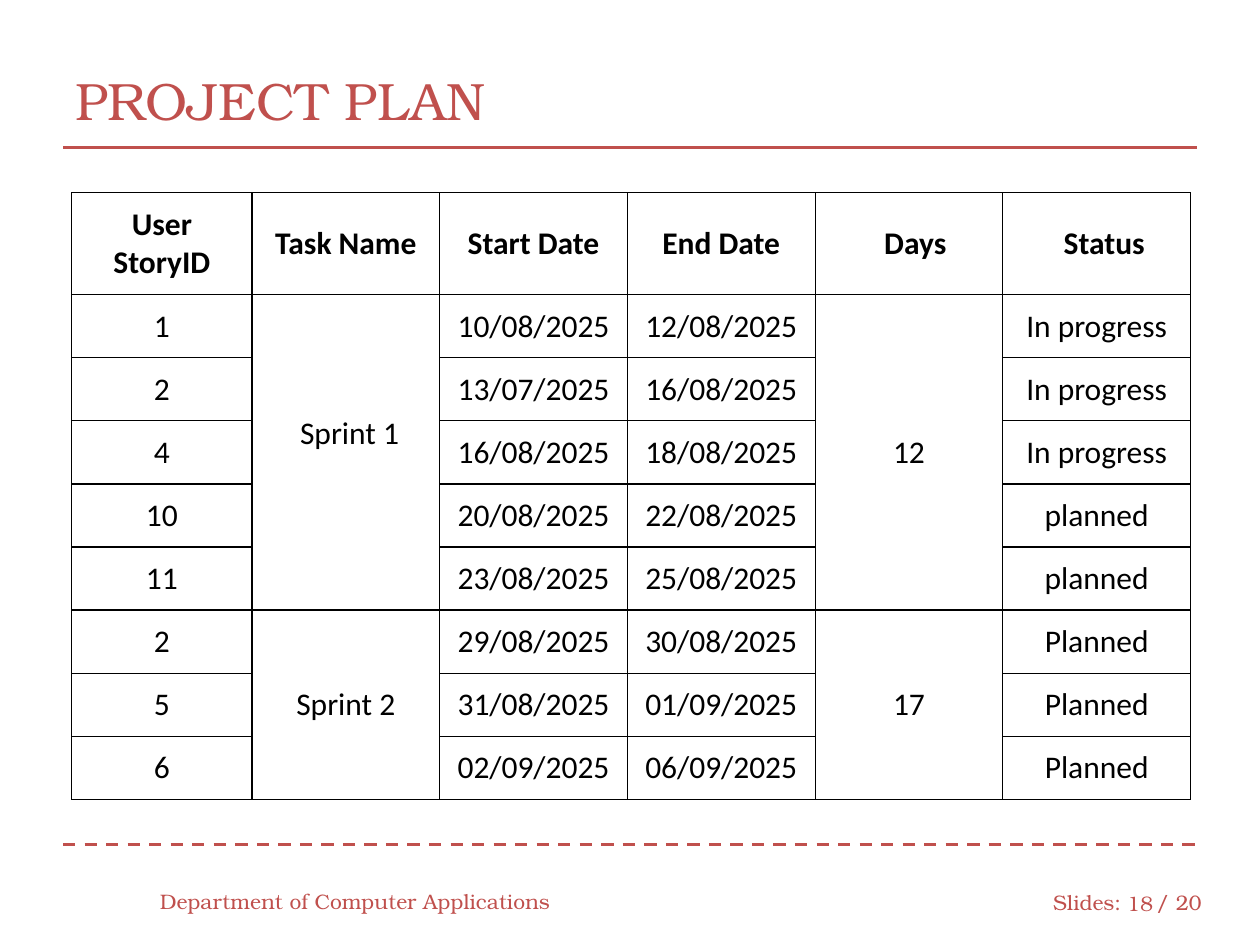
from dataclasses import dataclass

import pptx
import pptx.dml.color
import pptx.enum.dml
import pptx.enum.shapes
import pptx.enum.text
import pptx.oxml.ns
import pptx.util
from lxml import etree
from pptx.util import Inches

ACCENT, BLACK, WHITE = "C0504D", "000000", "FFFFFF"
SERIF, SANS = "TeX Gyre Bonum", "Calibri"
ALIGN = pptx.enum.text.PP_ALIGN
MIDDLE = pptx.enum.text.MSO_ANCHOR.MIDDLE


@dataclass
class Label:
    text: str
    left: float
    top: float
    width: float
    height: float = 0.4
    size: int = 12
    align: ALIGN = ALIGN.LEFT


@dataclass
class Sprint:
    name: str
    days: str
    tasks: list[tuple[str, str, str, str]]  # story, start, end, status
    name_shift: float = 0
    name_lift: float = 0


LABELS = [
    Label("Slides:", 8.26, 6.96, 0.75),
    Label("/ 20", 9.08, 6.96, 0.58),
    Label("PROJECT PLAN", 0.5, 0.33, 9, 0.92, 30),
    Label("Department of Computer Applications", 1.17, 6.95, 3.33),
    Label("18", 8.83, 6.97, 0.42, align=ALIGN.RIGHT),
]
# Heading text and its shift to the right
HEADINGS = [("User\nStoryID", 0), ("Task Name", 0), ("Start Date", 0),
            ("End Date", 0), ("Days", 0.1), ("Status", 0.12)]
SPRINTS = [
    Sprint("Sprint 1", "12", [
        ("1", "10/08/2025", "12/08/2025", "In progress"),
        ("2", "13/07/2025", "16/08/2025", "In progress"),
        ("4", "16/08/2025", "18/08/2025", "In progress"),
        ("10", "20/08/2025", "22/08/2025", "planned"),
        ("11", "23/08/2025", "25/08/2025", "planned"),
    ], name_shift=0.06, name_lift=0.3),
    Sprint("Sprint 2", "17", [
        ("2", "29/08/2025", "30/08/2025", "Planned"),
        ("5", "31/08/2025", "01/09/2025", "Planned"),
        ("6", "02/09/2025", "06/09/2025", "Planned"),
    ]),
]


def rgb(value: str) -> pptx.dml.color.RGBColor:
    return pptx.dml.color.RGBColor.from_string(value)


def set_font(font, name: str, size: int, color: str, bold: bool = False) -> None:
    font.name, font.size, font.bold = name, pptx.util.Pt(size), bold
    font.color.rgb = rgb(color)


def add_label(page, label: Label) -> None:
    box = page.shapes.add_textbox(Inches(label.left), Inches(label.top),
                                  Inches(label.width), Inches(label.height))
    frame = box.text_frame
    frame.word_wrap = True
    frame.vertical_anchor = MIDDLE
    para = frame.paragraphs[0]
    para.text, para.alignment = label.text, label.align
    set_font(para.font, SERIF, label.size, ACCENT)


def add_rule(page, top: float, dashed: bool = False) -> None:
    rule = page.shapes.add_connector(
        pptx.enum.shapes.MSO_CONNECTOR.STRAIGHT,
        Inches(0.5), Inches(top), Inches(9.5), Inches(top))
    rule.line.color.rgb = rgb(ACCENT)
    rule.line.width = pptx.util.Pt(1.75)
    if dashed:
        rule.line.dash_style = pptx.enum.dml.MSO_LINE.DASH
    etree.SubElement(rule._element.spPr, pptx.oxml.ns.qn("a:effectLst"))


def style_cell(cell) -> None:
    cell.fill.solid()
    cell.fill.fore_color.rgb = rgb(WHITE)
    cell.vertical_anchor = MIDDLE
    cell.margin_left = cell.margin_right = Inches(0.1)
    cell.margin_top = cell.margin_bottom = Inches(0.1)
    properties = cell._tc.get_or_add_tcPr()
    for index, side in enumerate(("lnL", "lnR", "lnT", "lnB")):
        border = etree.Element(pptx.oxml.ns.qn(f"a:{side}"), w=str(pptx.util.Pt(0.75)))
        fill = etree.SubElement(border, pptx.oxml.ns.qn("a:solidFill"))
        etree.SubElement(fill, pptx.oxml.ns.qn("a:srgbClr"), val=BLACK)
        properties.insert(index, border)


def write_cell(cell, text: str, bold: bool = False,
               shift: float = 0, lift: float = 0) -> None:
    cell.text = text
    cell.margin_left = Inches(0.1 + shift)
    cell.margin_bottom = Inches(0.1 + lift)
    for para in cell.text_frame.paragraphs:
        para.alignment = ALIGN.CENTER
        set_font(para.font, SANS, 18, BLACK, bold)


def add_plan(page) -> None:
    row_count = 1 + sum(len(sprint.tasks) for sprint in SPRINTS)
    table = page.shapes.add_table(row_count, len(HEADINGS), Inches(0.57), Inches(1.53),
                                  Inches(8.9), Inches(4.8)).table
    table.first_row = table.horz_banding = False
    for index, column in enumerate(table.columns):
        column.width = Inches(1.49 if index else 1.43)
    for index, row in enumerate(table.rows):
        row.height = Inches(0.5 if index else 0.81)
    for cell in table.iter_cells():
        style_cell(cell)

    for column, (heading, shift) in enumerate(HEADINGS):
        write_cell(table.cell(0, column), heading, bold=True, shift=shift)

    first = 1
    for sprint in SPRINTS:
        last = first + len(sprint.tasks) - 1
        for column in (1, 4):
            table.cell(first, column).merge(table.cell(last, column))
        write_cell(table.cell(first, 1), sprint.name,
                   shift=sprint.name_shift, lift=sprint.name_lift)
        write_cell(table.cell(first, 4), sprint.days)
        for row, task in enumerate(sprint.tasks, first):
            for column, text in zip((0, 2, 3, 5), task):
                write_cell(table.cell(row, column), text)
        first = last + 1


def main() -> None:
    deck = pptx.Presentation()
    deck.slide_width, deck.slide_height = Inches(10), Inches(7.5)
    page = deck.slides.add_slide(deck.slide_layouts[6])

    # Rules under the title and above the footer
    add_rule(page, 6.7, dashed=True)
    add_rule(page, 1.17)

    # Title and footer
    for label in LABELS:
        add_label(page, label)

    # Sprint schedule
    add_plan(page)
    deck.save("out.pptx")


if __name__ == "__main__":
    main()
